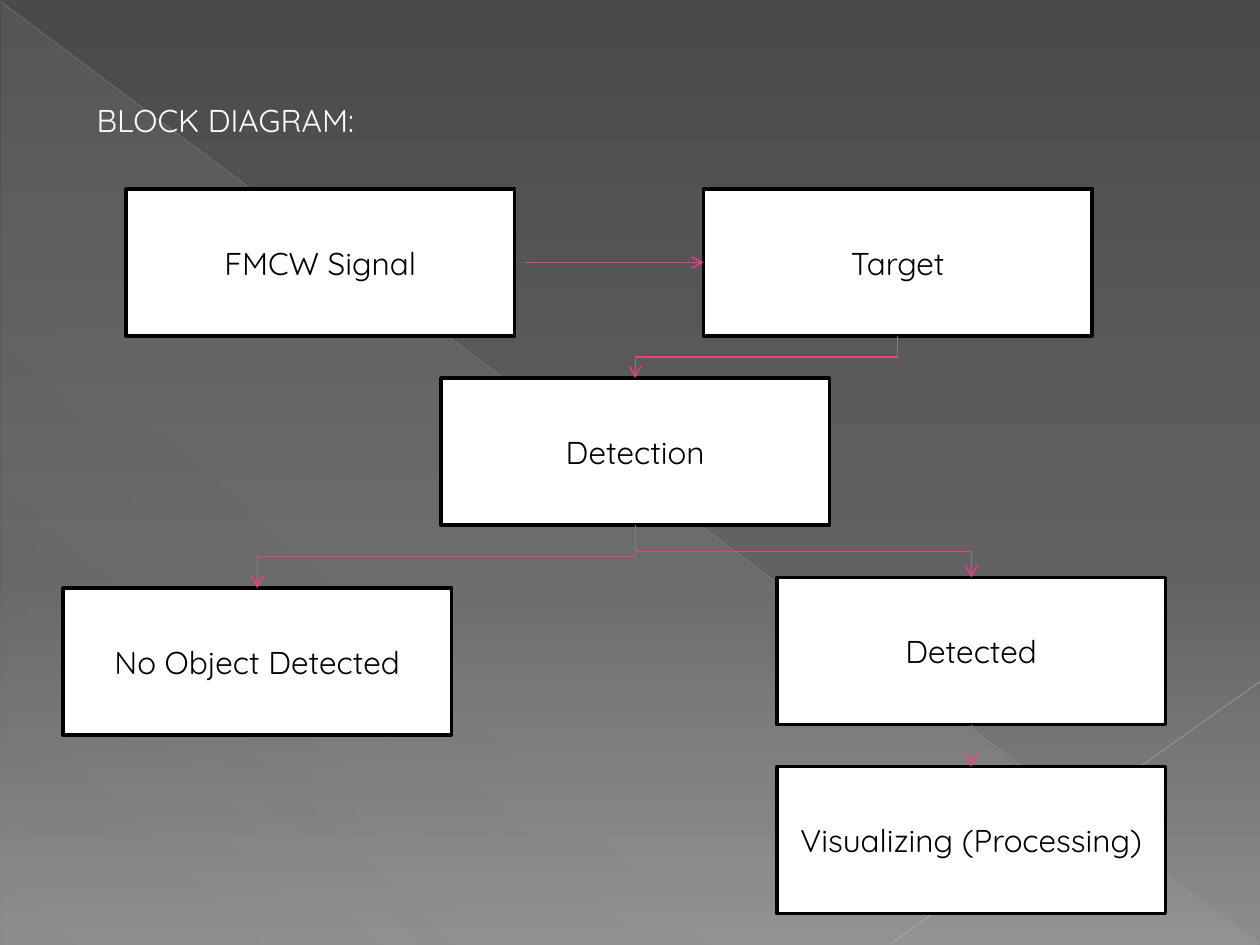
from pptx import Presentation
from pptx.dml.color import RGBColor
from pptx.enum.shapes import MSO_CONNECTOR as Link, MSO_SHAPE as Kind
from pptx.enum.text import MSO_ANCHOR as Anchor, PP_ALIGN as Align
from pptx.oxml import parse_xml
from pptx.oxml.ns import nsdecls, qn
from pptx.util import Pt
from lxml import etree

# Content: name -> (text, left, top)
TITLE = "BLOCK DIAGRAM:"
BOXES = {
    "signal": ("FMCW Signal", 72, 108),
    "target": ("Target", 402, 108),
    "detect": ("Detection", 252, 216),
    "none": ("No Object Detected", 36, 336),
    "found": ("Detected", 444, 330),
    "view": ("Visualizing (Processing)", 444, 438),
}
# Arrows that run down from one box to the next
DOWN = [("target", "detect"), ("detect", "none"),
        ("detect", "found"), ("found", "view")]
BOX_W, BOX_H = 222, 84
GAP = 6  # space between the signal box and its arrow

THEME = {
    "font": "Quicksand", "size": 18,
    "title": "FFFFFF", "text": "000000",
    "box": "FFFFFF", "edge": "000000", "arrow": "FF388C",
    # Gradient stops: position, colour, opacity
    "back": [(0, "4A4A4A", 100), (60, "626262", 100), (100, "8C8C8C", 100)],
    "sheen": [(0, "D2D2D2", 10), (70, "D2D2D2", 8), (100, "D2D2D2", 1)],
}
# Thin lines behind: from, to, colour, width, opacity
RAYS = [((0, 0.7), (719.3, 539.3), "BFBFBF", 0.39, 35),
        ((720, 389.5), (509, 539.3), "C6C6C6", 0.47, 45)]

deck = Presentation()
deck.slide_width, deck.slide_height = Pt(720), Pt(540)
slide = deck.slides.add_slide(deck.slide_layouts[5])
shapes = slide.shapes


def rgb(name):
    return RGBColor.from_string(name)


def blend(fill, props, stops, angle):
    """Fill with a linear gradient of any number of stops."""
    fill.gradient()
    old = props.find(qn("a:gradFill"))
    marks = "".join(
        f'<a:gs pos="{pos * 1000}"><a:srgbClr val="{tint}">'
        f'<a:alpha val="{alpha * 1000}"/></a:srgbClr></a:gs>'
        for pos, tint, alpha in stops)
    props.replace(old, parse_xml(
        f'<a:gradFill {nsdecls("a")} rotWithShape="1"><a:gsLst>{marks}</a:gsLst>'
        f'<a:lin ang="{angle * 60000}" scaled="0"/></a:gradFill>'))


def write(frame, text, tint, align, anchor):
    frame.word_wrap = True
    frame.vertical_anchor = anchor
    para = frame.paragraphs[0]
    para.alignment = align
    run = para.add_run()
    run.text = text
    run.font.name, run.font.size = THEME["font"], Pt(THEME["size"])
    run.font.color.rgb = rgb(tint)


def draw(kind, start, end, tint, width):
    line = shapes.add_connector(kind, *map(Pt, (*start, *end)))
    line.line.color.rgb = rgb(tint)
    line.line.width = Pt(width)
    etree.SubElement(line._element.spPr, qn("a:effectLst"))
    return line


def arrow(start, end):
    """Straight arrow, or an elbow that leaves and arrives vertically."""
    (x1, y1), (x2, y2) = start, end
    kind, turn = Link.STRAIGHT, 0
    if x1 != x2 and y1 != y2:
        kind = Link.ELBOW
        turn = 90 if x2 < x1 else 270
        side = 1 if x2 < x1 else -1  # -1 flips the elbow
        mid_x, mid_y = (x1 + x2) / 2, (y1 + y2) / 2
        half_w, half_h = side * (y2 - y1) / 2, abs(x2 - x1) / 2
        start = mid_x - half_w, mid_y - half_h
        end = mid_x + half_w, mid_y + half_h
    line = draw(kind, start, end, THEME["arrow"], 0.75)
    if turn:
        line._element.spPr.find(qn("a:xfrm")).set("rot", str(turn * 60000))
    etree.SubElement(line.line._get_or_add_ln(), qn("a:tailEnd"), type="arrow")


# Backdrop
back = slide.background.fill
blend(back, slide._element.cSld.find(qn("p:bg")).find(qn("p:bgPr")),
      THEME["back"], 90)
sheen = shapes.add_shape(Kind.RIGHT_TRIANGLE, Pt(0.7), Pt(1.4), Pt(718.6), Pt(538.6))
sheen.shadow.inherit = False
sheen.line.fill.background()
blend(sheen.fill, sheen._element.spPr, THEME["sheen"], 133)
for start, end, tint, width, alpha in RAYS:
    ray = draw(Link.STRAIGHT, start, end, tint, width)
    clr = ray._element.spPr.find(".//" + qn("a:srgbClr"))
    etree.SubElement(clr, qn("a:alpha"), val=str(alpha * 1000))

# Title, lifted above the backdrop
title = shapes.title
title.left, title.top, title.width, title.height = map(Pt, (48, 54, 624, 94))
write(title.text_frame, TITLE, THEME["title"], Align.LEFT, Anchor.TOP)
shapes._spTree.append(title._element)

# Boxes
for text, left, top in BOXES.values():
    box = shapes.add_shape(Kind.RECTANGLE, *map(Pt, (left, top, BOX_W, BOX_H)))
    box.shadow.inherit = False
    box.fill.solid()
    box.fill.fore_color.rgb = rgb(THEME["box"])
    box.line.color.rgb = rgb(THEME["edge"])
    box.line.width = Pt(2)
    write(box.text_frame, text, THEME["text"], Align.CENTER, Anchor.MIDDLE)

# Arrows
_, left, top = BOXES["signal"]
mid = top + BOX_H / 2
arrow((left + BOX_W + GAP, mid), (BOXES["target"][1], mid))
for above, below in DOWN:
    _, x1, y1 = BOXES[above]
    _, x2, y2 = BOXES[below]
    arrow((x1 + BOX_W / 2, y1 + BOX_H), (x2 + BOX_W / 2, y2))

deck.save("out.pptx")
